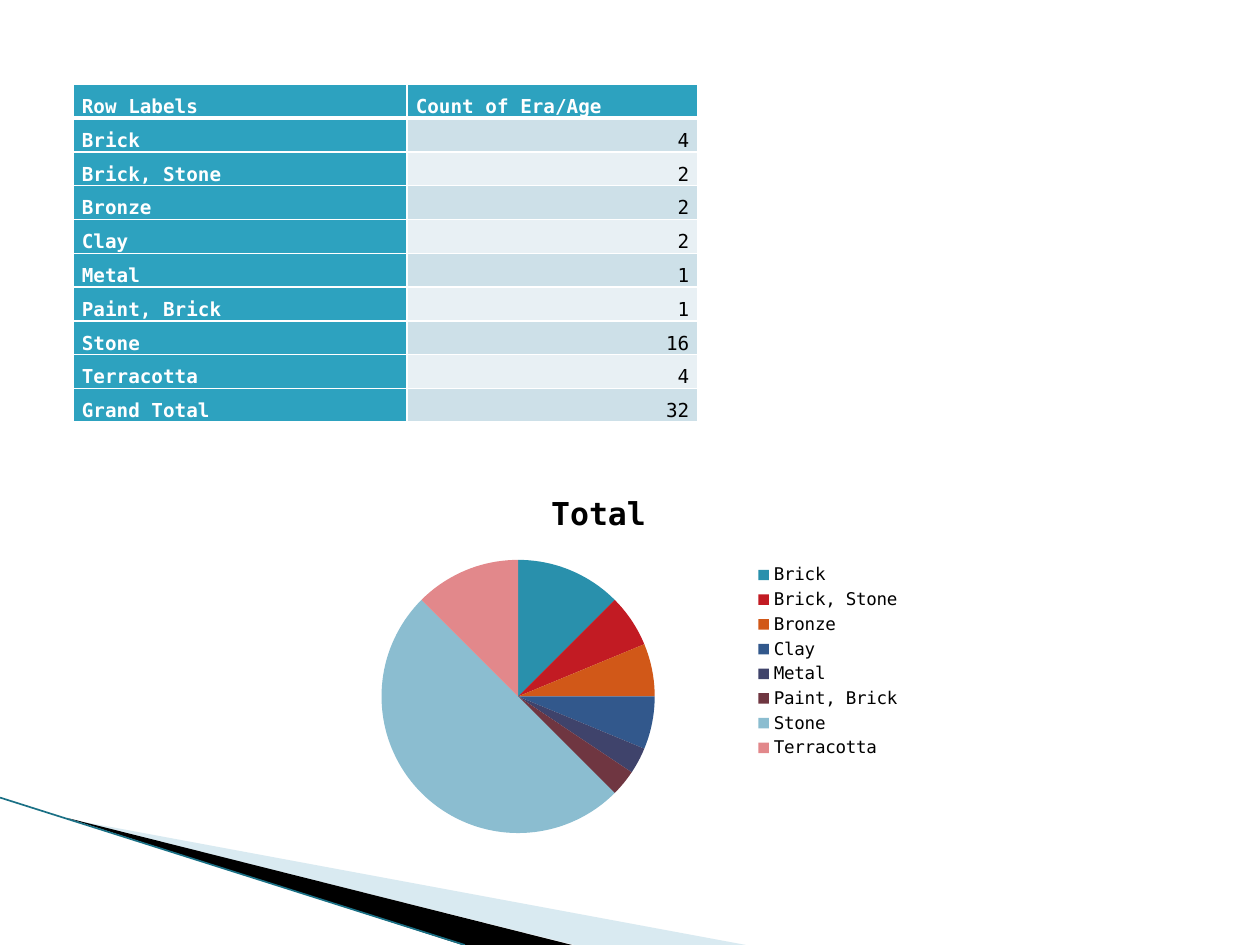
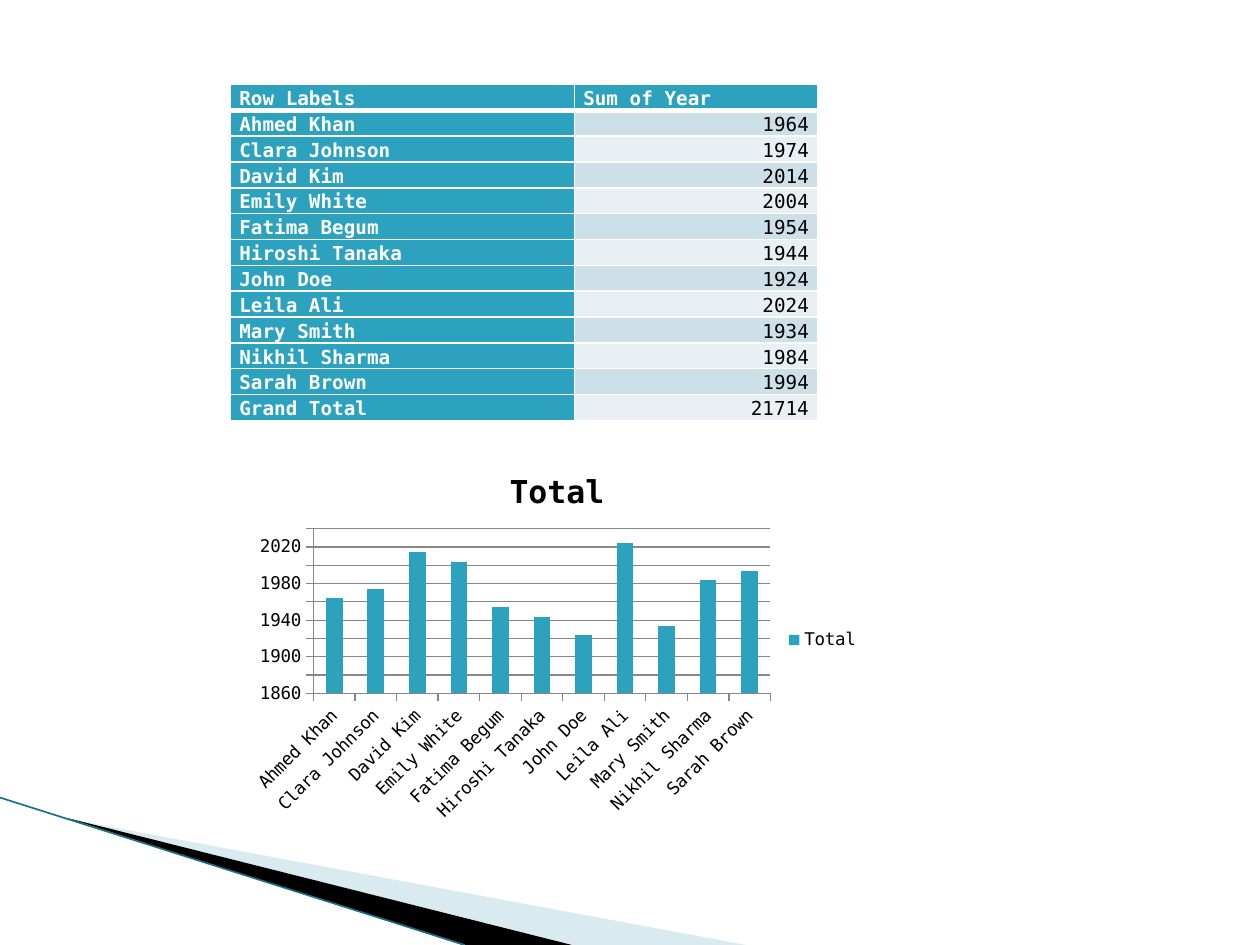
from dataclasses import dataclass

from lxml import etree
from pptx import Presentation
from pptx.chart.data import CategoryChartData
from pptx.dml.color import RGBColor as Rgb
from pptx.enum.chart import XL_CHART_TYPE as Kind, XL_LEGEND_POSITION as LegendSide, XL_TICK_MARK as Tick
from pptx.enum.shapes import MSO_CONNECTOR as Connector
from pptx.enum.text import MSO_ANCHOR as Anchor, PP_ALIGN as Align
from pptx.oxml.ns import qn
from pptx.util import Inches, Pt


@dataclass(frozen=True)
class Theme:
    font: str = "DejaVu Sans Mono"
    cell_size: int = 11
    chart_size: int = 10
    title_size: int = 18
    black: str = "000000"
    white: str = "FFFFFF"
    teal: str = "2DA2BF"
    bands: tuple = ("CDE0E8", "E8F0F4")
    pale_wedge: str = "A0CBDC"
    edge: str = "1A7085"
    axis: str = "878787"
    slices: tuple = ("2990AC", "C21B23", "D15818", "32588C",
                     "3F436B", "6F3641", "8BBDD0", "E2888B")


theme = Theme()
deck = Presentation()
deck.slide_width, deck.slide_height = Inches(10), Inches(7.5)


def across(percent):
    return int(deck.slide_width * percent / 100)


def down(percent):
    return int(deck.slide_height * percent / 100)


wedges = [
    (theme.pale_wedge, 40, [(5.5, 86.7), (59.2, 100), (45.6, 100)]),
    (theme.black, 100, [(5.3, 86.55), (45.4, 100), (36.7, 100)]),
]

pages = [
    {
        "headings": ("Row Labels", "Count of Era/Age"),
        "counts": {"Brick": 4, "Brick, Stone": 2, "Bronze": 2, "Clay": 2, "Metal": 1,
                   "Paint, Brick": 1, "Stone": 16, "Terracotta": 4},
        "table_left": 5.8, "columns": (26.5, 23.1), "row": 3.58,
        "chart_at": (22.5, 50), "kind": Kind.PIE,
    },
    {
        "headings": ("Row Labels", "Sum of Year"),
        "counts": {"Ahmed Khan": 1964, "Clara Johnson": 1974, "David Kim": 2014,
                   "Emily White": 2004, "Fatima Begum": 1954, "Hiroshi Tanaka": 1944,
                   "John Doe": 1924, "Leila Ali": 2024, "Mary Smith": 1934,
                   "Nikhil Sharma": 1984, "Sarah Brown": 1994},
        "table_left": 18.3, "columns": (27.3, 19.3), "row": 2.4,
        "chart_at": (19.2, 47.73), "kind": Kind.COLUMN_CLUSTERED,
    },
]

cell_format = {"margin_left": Inches(0.07), "margin_right": Inches(0.07),
               "margin_top": 0, "margin_bottom": 0, "vertical_anchor": Anchor.BOTTOM}
year_scale = {"minimum_scale": 1860, "maximum_scale": 2040, "major_unit": 20,
              "has_major_gridlines": True}

for page in pages:
    slide = deck.slides.add_slide(deck.slide_layouts[6])

    for color, opacity, corners in wedges:
        points = [(across(x), down(y)) for x, y in corners]
        outline = slide.shapes.build_freeform(*points[0], scale=1.0)
        outline.add_line_segments(points[1:], close=True)
        wedge = outline.convert_to_shape()
        wedge.shadow.inherit = False
        wedge.line.fill.background()
        wedge.fill.solid()
        wedge.fill.fore_color.rgb = Rgb.from_string(color)
        if opacity < 100:
            tint = wedge.fill._xPr.find(f".//{qn('a:srgbClr')}")
            etree.SubElement(tint, qn("a:alpha"), val=str(opacity * 1000))

    edge = slide.shapes.add_connector(Connector.STRAIGHT, 0, down(84.4), across(36.9), down(100))
    edge.line.color.rgb = Rgb.from_string(theme.edge)
    edge.line.width = Pt(0.95)
    etree.SubElement(edge._element.spPr, qn("a:effectLst"))

    counts = page["counts"]
    rows = [page["headings"], *counts.items(), ("Grand Total", sum(counts.values()))]
    table = slide.shapes.add_table(
        len(rows), 2, across(page["table_left"]), down(8.93),
        across(sum(page["columns"])), down(page["row"] * len(rows))).table
    table.first_col = True
    for column, width in zip(table.columns, page["columns"]):
        column.width = across(width)

    for r, row in enumerate(rows):
        table.rows[r].height = down(page["row"])
        for c, entry in enumerate(row):
            is_label = r == 0 or c == 0
            cell = table.cell(r, c)
            for name, value in cell_format.items():
                setattr(cell, name, value)
            borders = cell._tc.get_or_add_tcPr()
            for side in ("lnL", "lnR", "lnT", "lnB"):
                thick = (side == "lnB" and r == 0) or (side == "lnT" and r == 1)
                border = etree.SubElement(borders, qn(f"a:{side}"), w=str(Pt(3 if thick else 1)))
                paint = etree.SubElement(border, qn("a:solidFill"))
                etree.SubElement(paint, qn("a:srgbClr"), val=theme.white)
            cell.fill.solid()
            cell.fill.fore_color.rgb = Rgb.from_string(
                theme.teal if is_label else theme.bands[(r - 1) % 2])
            paragraph = cell.text_frame.paragraphs[0]
            paragraph.line_spacing = 1.15
            paragraph.alignment = Align.LEFT if is_label else Align.RIGHT
            run = paragraph.add_run()
            run.text = str(entry)
            run.font.name, run.font.size, run.font.bold = theme.font, Pt(theme.cell_size), is_label
            run.font.color.rgb = Rgb.from_string(theme.white if is_label else theme.black)

    data = CategoryChartData()
    data.categories = list(counts)
    data.add_series("Total", list(counts.values()))
    left, top = page["chart_at"]
    chart = slide.shapes.add_chart(
        page["kind"], across(left), down(top), across(50), down(40), data).chart
    chart.has_title = True
    chart.chart_title.text_frame.text = "Total"
    title_font = chart.chart_title.text_frame.paragraphs[0].runs[0].font
    for font, size, bold in ((chart.font, theme.chart_size, False),
                             (title_font, theme.title_size, True)):
        font.name, font.size, font.bold = theme.font, Pt(size), bold
        font.color.rgb = Rgb.from_string(theme.black)
    chart.has_legend = True
    chart.legend.position = LegendSide.RIGHT
    chart.legend.include_in_layout = False

    plot = chart.plots[0]
    series = plot.series[0]
    if page["kind"] == Kind.PIE:
        plot.vary_by_categories = True
        for i, color in enumerate(theme.slices):
            piece = series.points[i].format
            piece.fill.solid()
            piece.fill.fore_color.rgb = Rgb.from_string(color)
            piece.line.fill.background()
    else:
        plot.vary_by_categories = False
        plot.gap_width = 150
        series.format.fill.solid()
        series.format.fill.fore_color.rgb = Rgb.from_string(theme.teal)
        for name, value in year_scale.items():
            setattr(chart.value_axis, name, value)
        for axis in (chart.category_axis, chart.value_axis):
            axis.major_tick_mark = Tick.OUTSIDE
            axis.minor_tick_mark = Tick.NONE
        for ruled in (chart.category_axis, chart.value_axis, chart.value_axis.major_gridlines):
            ruled.format.line.color.rgb = Rgb.from_string(theme.axis)
            ruled.format.line.width = Pt(0.75)

deck.save("out.pptx")
